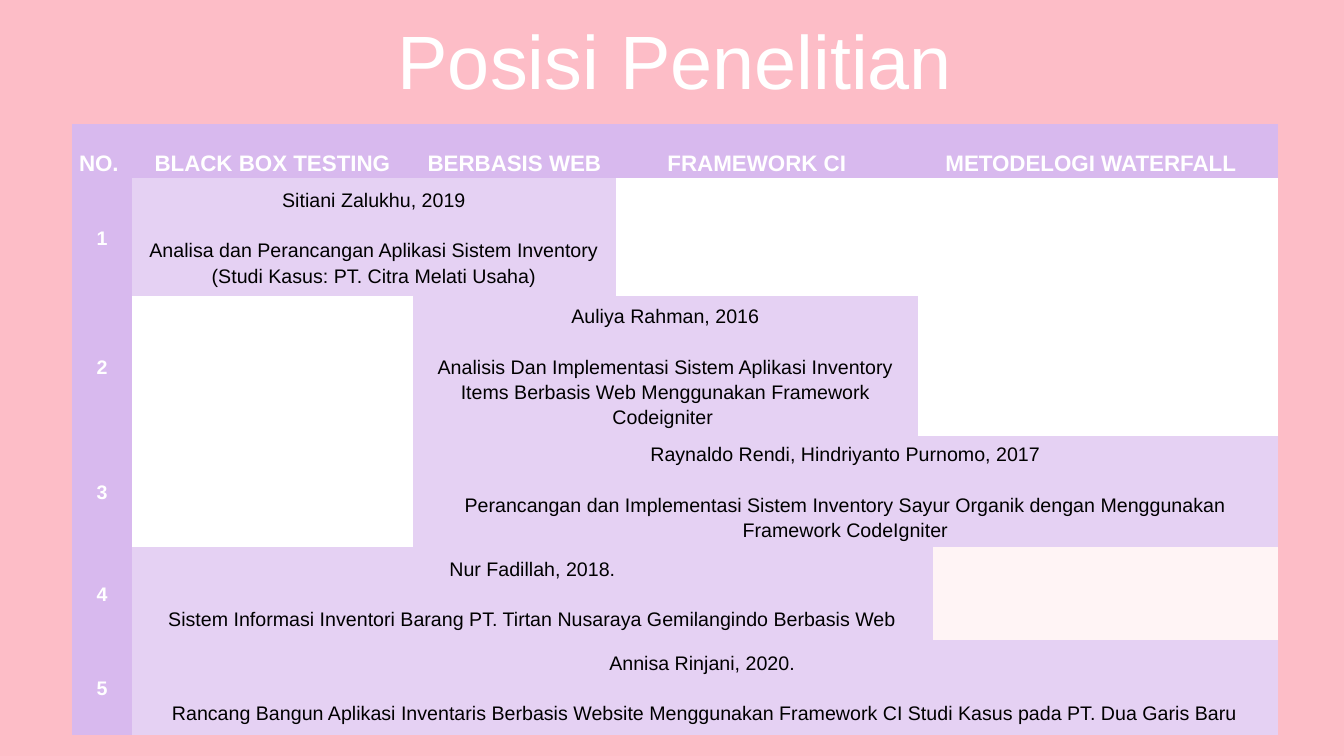
import pptx
import pptx.util
import pptx.dml.color
import pptx.enum.text

SCALE = 914400 / 100.8
COLORS = {
    "page": "FDBDC7",
    "head": "D8B9EE",
    "study": "E5D1F3",
    "blank": "FFFFFF",
    "tint": "FFF4F5",
    "light": "FFFFFF",
    "dark": "000000",
}
NO_GRID = "{2D5ABB26-0587-4C30-8999-92F81FD0307C}"
MIDDLE = pptx.enum.text.MSO_ANCHOR.MIDDLE
CENTER = pptx.enum.text.PP_ALIGN.CENTER


def px(value):
    return pptx.util.Emu(round(value * SCALE))


def rgb(name):
    return pptx.dml.color.RGBColor.from_string(COLORS[name])


def assign(target, values):
    for name, value in values.items():
        setattr(target, name, value)


class Painter:
    def __init__(self, page, font):
        self.page = page
        self.font = font

    def background(self, color):
        fill = self.page.background.fill
        fill.solid()
        fill.fore_color.rgb = rgb(color)

    def paragraphs(self, frame, lines, size, color, bold, spacing, before, gap=0):
        for index, line in enumerate(lines):
            para = frame.add_paragraph() if index else frame.paragraphs[0]
            assign(para, {
                "alignment": CENTER,
                "line_spacing": spacing,
                "space_before": pptx.util.Pt(gap if index else before),
            })
            span = para.add_run()
            span.text = line
            assign(span.font, {"name": self.font, "size": pptx.util.Pt(size), "bold": bold})
            span.font.color.rgb = rgb(color)

    def text(self, place, lines, **style):
        box = self.page.shapes.add_textbox(*map(px, place))
        assign(box.text_frame, {"word_wrap": True, "vertical_anchor": MIDDLE})
        self.paragraphs(box.text_frame, lines, **style)

    def table(self, left, top, widths, heights):
        place = map(px, (left, top, sum(widths), sum(heights)))
        frame = self.page.shapes.add_table(len(heights), len(widths), *place)
        for style in frame.element.iter("{*}tableStyleId"):
            style.text = NO_GRID
        table = frame.table
        assign(table, {"first_row": False, "horz_banding": False})
        for column, width in zip(table.columns, widths):
            column.width = px(width)
        for row, height in zip(table.rows, heights):
            row.height = px(height)
        return table

    def cell(self, table, row, column, width, fill, lines=(), **style):
        cell = table.cell(row, column)
        if width > 1:
            cell.merge(table.cell(row, column + width - 1))
        cell.fill.solid()
        cell.fill.fore_color.rgb = rgb(fill)
        assign(cell, {
            "vertical_anchor": MIDDLE,
            "margin_left": px(7),
            "margin_right": px(7),
            "margin_top": 0,
            "margin_bottom": 0,
        })
        if lines:
            self.paragraphs(cell.text_frame, lines, **style)


HEADER = {"size": 16, "color": "light", "bold": True, "spacing": 2.0, "before": 6}
NUMBER = {"size": 14, "color": "light", "bold": True, "spacing": 1.15, "before": 6}
STUDY = {"size": 14, "color": "dark", "bold": False, "spacing": 1.15, "before": 6, "gap": 18}
TITLE = {"size": 54, "color": "light", "bold": False, "spacing": 0.9, "before": 10}

HEADINGS = [
    ("NO. ", 1),
    ("BLACK BOX TESTING", 1),
    ("BERBASIS WEB", 1),
    ("FRAMEWORK CI ", 1),
    ("METODELOGI WATERFALL", 3),
]
STUDIES = [
    (1, 2, "Sitiani Zalukhu, 2019",
     "Analisa dan Perancangan Aplikasi Sistem Inventory (Studi Kasus: PT. Citra Melati Usaha)"),
    (2, 3, "Auliya Rahman, 2016",
     "Analisis Dan Implementasi Sistem Aplikasi Inventory Items Berbasis Web "
     "Menggunakan Framework Codeigniter "),
    (2, 5, "Raynaldo Rendi, Hindriyanto Purnomo, 2017",
     "Perancangan dan Implementasi Sistem Inventory Sayur Organik dengan "
     "Menggunakan Framework CodeIgniter"),
    (1, 5, "Nur Fadillah, 2018.",
     "Sistem Informasi Inventori Barang PT. Tirtan Nusaraya Gemilangindo Berbasis Web"),
    (1, 6, "Annisa Rinjani, 2020. ",
     "Rancang Bangun Aplikasi Inventaris Berbasis Website Menggunakan Framework CI "
     "Studi Kasus pada PT. Dua Garis Baru"),
]
WIDTHS = [60, 281, 203, 288, 14, 15, 345]
HEIGHTS = [50, 118, 140, 111, 93, 95]
TINTED_ROW = 4

deck = pptx.Presentation()
assign(deck, {"slide_width": px(1344), "slide_height": px(756)})
painter = Painter(deck.slides.add_slide(deck.slide_layouts[6]), "Arial")
painter.background("page")
painter.text((37, 25, 1276, 80), ["Posisi Penelitian"], **TITLE)

table = painter.table(72, 124, WIDTHS, HEIGHTS)
column = 0
for heading, width in HEADINGS:
    painter.cell(table, 0, column, width, "head", [heading], **HEADER)
    column += width

for row, (start, width, author, topic) in enumerate(STUDIES, 1):
    painter.cell(table, row, 0, 1, "head", [str(row)], **NUMBER)
    painter.cell(table, row, start, width, "study", [author, topic], **STUDY)
    blank = "tint" if row == TINTED_ROW else "blank"
    end = start + width
    for first, last in ((1, start), (end, len(WIDTHS))):
        if first < last:
            painter.cell(table, row, first, last - first, blank)

deck.save("out.pptx")
